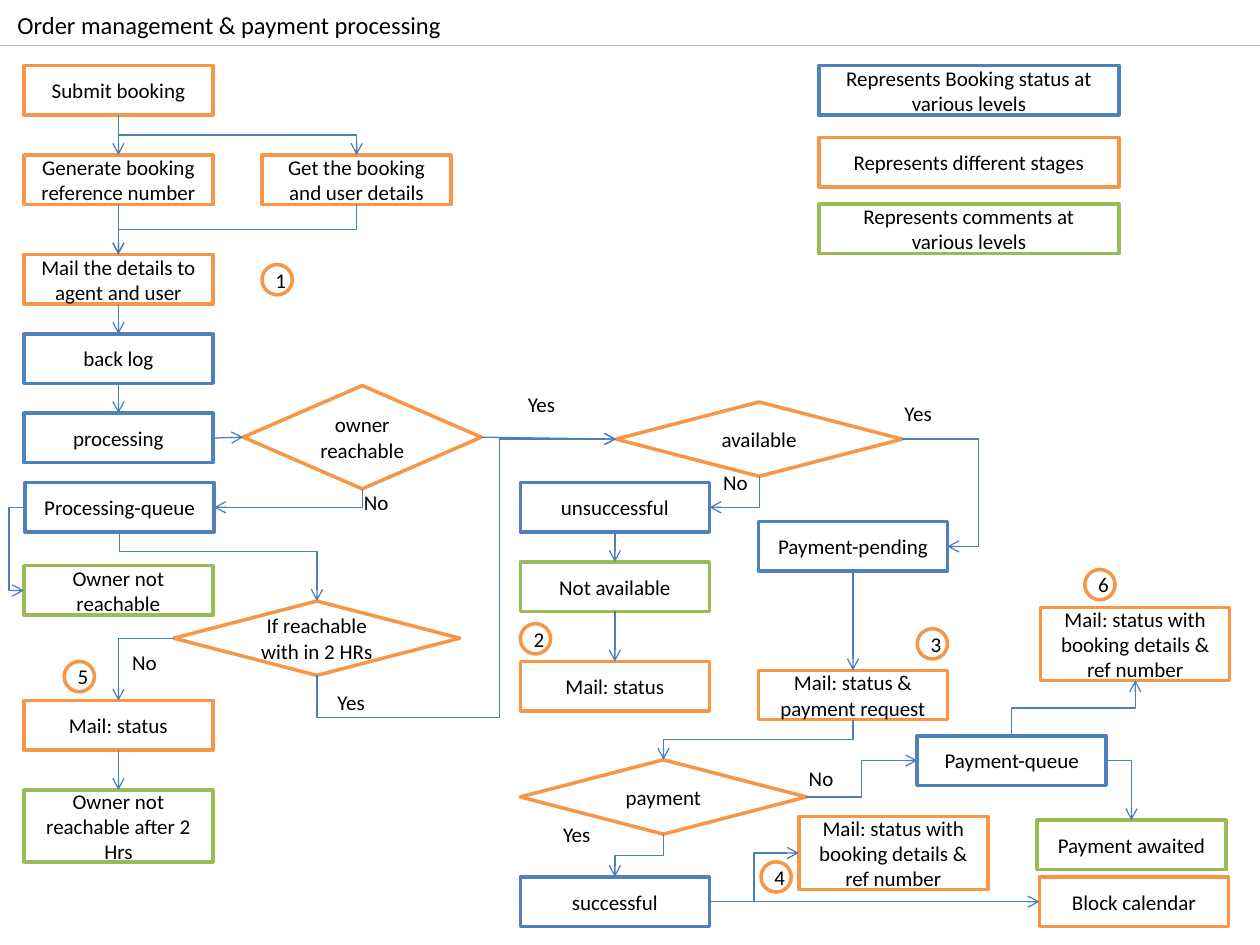
from dataclasses import dataclass

from lxml import etree
from pptx import Presentation, util as u
from pptx.dml import color
from pptx.enum import shapes, text
from pptx.oxml import ns

# The page is a grid of 100 columns by 75 rows
PAGE_WIDTH, PAGE_HEIGHT = u.Inches(10), u.Inches(7.5)
COLUMNS, ROWS = 100, 75
TOP, LEFT, BOTTOM, RIGHT = range(4)


@dataclass(frozen=True)
class Theme:
    stage: str = "F79646"
    status: str = "4F81BD"
    comment: str = "9BBB59"
    arrow: str = "4B7EBC"
    rule: str = "BFBFBF"
    paper: str = "FFFFFF"
    ink: str = "000000"
    font: str = "Calibri"
    title_size: float = 14
    body_size: float = 12
    outline: float = 2
    thin: float = 0.75


THEME = Theme()
RECT = shapes.MSO_SHAPE.RECTANGLE
DIAMOND = shapes.MSO_SHAPE.DIAMOND
CIRCLE = shapes.MSO_SHAPE.OVAL


@dataclass(frozen=True)
class Node:
    label: str
    col: float
    row: float
    outline: str = THEME.stage
    width: float = 15
    height: float = 3.93
    kind: int = RECT

    def site(self, side: int) -> tuple[float, float]:
        """Middle of one side, in grid units."""
        across, down = ((0.5, 0), (0, 0.5), (0.5, 1), (1, 0.5))[side]
        return self.col + across * self.width, self.row + down * self.height


@dataclass(frozen=True)
class Link:
    begin: str
    begin_side: int
    end: str
    end_side: int
    bends: tuple[float, ...] = (0.5,)


def decision(label: str, col: float, row: float, width: float = 22.7, height: float = 5.9) -> Node:
    return Node(label, col, row, width=width, height=height, kind=DIAMOND)


def x(columns: float) -> int:
    return round(PAGE_WIDTH * columns / COLUMNS)


def y(rows: float) -> int:
    return round(PAGE_HEIGHT * rows / ROWS)


def style_text(frame, size: float) -> None:
    for para in frame.paragraphs:
        for span in para.runs:
            span.font.size, span.font.name = u.Pt(size), THEME.font
            span.font.color.rgb = color.RGBColor.from_string(THEME.ink)


def draw_node(page, node: Node):
    box = page.shapes.add_shape(node.kind, x(node.col), y(node.row), x(node.width), y(node.height))
    box.shadow.inherit = False
    box.fill.solid()
    box.fill.fore_color.rgb = color.RGBColor.from_string(THEME.paper)
    box.line.color.rgb = color.RGBColor.from_string(node.outline)
    box.line.width = u.Pt(THEME.outline)
    frame = box.text_frame
    frame.word_wrap = True
    frame.vertical_anchor = text.MSO_ANCHOR.MIDDLE
    frame.text = node.label
    frame.paragraphs[0].alignment = text.PP_ALIGN.CENTER
    style_text(frame, THEME.body_size)
    return box


def draw_label(page, label: str, col: float, row: float, width: float = 5.1,
               height: float = 3, size: float = THEME.body_size) -> None:
    box = page.shapes.add_textbox(x(col), y(row), x(width), y(height))
    box.text_frame.word_wrap = True
    box.text_frame.text = label
    style_text(box.text_frame, size)


def style_line(line, line_color: str, arrow: bool = True) -> None:
    line.line.color.rgb = color.RGBColor.from_string(line_color)
    line.line.width = u.Pt(THEME.thin)
    properties = line._element.spPr
    if arrow:
        etree.SubElement(properties.find(ns.qn("a:ln")), ns.qn("a:tailEnd"), type="arrow")
    etree.SubElement(properties, ns.qn("a:effectLst"))


def draw_straight(page, boxes: dict, begin: str, begin_side: int, end: str, end_side: int) -> None:
    line = page.shapes.add_connector(shapes.MSO_CONNECTOR.STRAIGHT, 0, 0, 0, 0)
    line.begin_connect(boxes[begin], begin_side)
    line.end_connect(boxes[end], end_side)
    style_line(line, THEME.arrow)


def draw_elbow(page, link: Link) -> None:
    """Turn and flip a bent connector so that it leaves its first side squarely."""
    x1, y1 = NODES[link.begin].site(link.begin_side)
    x2, y2 = NODES[link.end].site(link.end_side)
    dx, dy = x2 - x1, y2 - y1
    if link.begin_side in (TOP, BOTTOM):
        turn = 3 if dx > 0 and dy > 0 else 1
    else:
        turn = 2 if dx < 0 else 0
    along, across = ((dx, dy), (dy, -dx), (-dx, -dy), (-dy, dx))[turn]
    width, height = abs(along), abs(across)
    left, top = (x1 + x2 - width) / 2, (y1 + y2 - height) / 2
    line = page.shapes.add_connector(shapes.MSO_CONNECTOR.ELBOW, x(left), y(top),
                                     x(left + width), y(top + height))
    frame = line._element.spPr.find(ns.qn("a:xfrm"))
    for name, value, needed in (("rot", turn * 90 * 60000, turn),
                                ("flipH", 1, along < 0), ("flipV", 1, across < 0)):
        if needed:
            frame.set(name, str(value))
    geometry = line._element.spPr.find(ns.qn("a:prstGeom"))
    geometry.set("prst", f"bentConnector{2 + len(link.bends)}")
    for number, share in enumerate(link.bends, 1):
        etree.SubElement(geometry.find(ns.qn("a:avLst")), ns.qn("a:gd"),
                         name=f"adj{number}", fmla=f"val {round(share * 100000)}")
    style_line(line, THEME.arrow)


DETAILS = "Mail: status with booking details & ref number"
NODES = {
    # Booking column
    "submit": Node("Submit booking", 1.9, 5.2),
    "reference": Node("Generate booking reference number", 1.9, 12.3),
    "user": Node("Get the booking and user details", 20.8, 12.3),
    "mail": Node("Mail the details to agent and user", 1.9, 20.2),
    "backlog": Node("back log", 1.9, 26.5, THEME.status),
    "processing": Node("processing", 1.9, 32.8, THEME.status),
    "queue": Node("Processing-queue", 2, 38.3, THEME.status),
    "unreached": Node("Owner not reachable", 1.9, 44.9, THEME.comment),
    "mail late": Node("Mail: status", 1.9, 55.6),
    "late": Node("Owner not reachable after 2 Hrs", 1.9, 62.7, THEME.comment, height=5.7),
    # Decisions
    "owner": decision("owner reachable", 19.3, 30.6, 18.9, 8.2),
    "available": decision("available", 48.9, 31.9),
    "two hours": decision("If reachable with in 2 HRs", 13.8, 47.7),
    "payment": decision("payment", 41.3, 60.3),
    # Availability and payment
    "unsuccessful": Node("unsuccessful", 41.3, 38.3, THEME.status),
    "not available": Node("Not available", 41.3, 44.6, THEME.comment),
    "mail refused": Node("Mail: status", 41.3, 52.5),
    "pending": Node("Payment-pending", 60.2, 41.4, THEME.status),
    "request": Node("Mail: status & payment request", 60.2, 53.2),
    "payment queue": Node("Payment-queue", 72.8, 58.4, THEME.status),
    "awaited": Node("Payment awaited", 82.3, 65.1, THEME.comment),
    "mail queue": Node(DETAILS, 82.6, 48.2, height=5.8),
    "successful": Node("successful", 41.3, 69.6, THEME.status),
    "mail success": Node(DETAILS, 63.4, 64.8, height=5.8),
    "calendar": Node("Block calendar", 82.5, 69.6),
}
LEGEND = [("Represents Booking status at various levels", 5.2, THEME.status),
          ("Represents different stages", 10.9, THEME.stage),
          ("Represents comments at various levels", 16.2, THEME.comment)]
STEPS = [(20.8, 21), (41.3, 49.5), (72.8, 49.9), (60.4, 68.4), (5.1, 52.5), (86.1, 45.2)]
DOWNWARD = [("submit", "reference"), ("reference", "mail"), ("mail", "backlog"),
            ("backlog", "processing"), ("unsuccessful", "not available"),
            ("not available", "mail refused"), ("pending", "request"), ("mail late", "late")]
RIGHTWARD = [("processing", "owner"), ("owner", "available"), ("successful", "calendar")]
ELBOWS = [
    Link("submit", BOTTOM, "user", TOP),
    Link("user", BOTTOM, "mail", TOP),
    Link("available", BOTTOM, "unsuccessful", RIGHT, ()),
    Link("available", RIGHT, "pending", RIGHT, (1.69,)),
    Link("request", BOTTOM, "payment", TOP),
    Link("payment", BOTTOM, "successful", TOP),
    Link("payment", RIGHT, "payment queue", LEFT),
    Link("payment queue", RIGHT, "awaited", TOP, ()),
    Link("payment queue", TOP, "mail queue", BOTTOM),
    Link("successful", RIGHT, "mail success", LEFT),
    Link("queue", BOTTOM, "two hours", TOP, (0.28,)),
    Link("queue", LEFT, "unreached", LEFT, (13,)),
    Link("owner", BOTTOM, "queue", RIGHT, ()),
    Link("two hours", BOTTOM, "available", LEFT, (-0.18, 0.61)),
    Link("two hours", LEFT, "mail late", TOP, ()),
]
ANSWERS = [("No", 56.4, 36.8), ("Yes", 70.8, 31.3), ("Yes", 43.7, 64.7), ("No", 63.2, 60.3),
           ("Yes", 40.9, 30.6), ("No", 27.9, 38.4), ("Yes", 25.8, 54.2), ("No", 9.5, 51.1)]


def main() -> None:
    deck = Presentation()
    deck.slide_width, deck.slide_height = PAGE_WIDTH, PAGE_HEIGHT
    page = deck.slides.add_slide(deck.slide_layouts[6])

    # Title and rule
    rule = page.shapes.add_connector(shapes.MSO_CONNECTOR.STRAIGHT, 0, y(3.6), x(COLUMNS), y(3.6))
    style_line(rule, THEME.rule, arrow=False)
    draw_label(page, "Order management & payment processing", 0.4, 0.3, 84.3, 3.4, THEME.title_size)

    # Flow boxes, legend and numbered steps
    boxes = {name: draw_node(page, node) for name, node in NODES.items()}
    for label, row, outline in LEGEND:
        draw_node(page, Node(label, 65, row, outline, width=23.8))
    for number, (col, row) in enumerate(STEPS, 1):
        draw_node(page, Node(str(number), col, row, width=2.4, height=2.4, kind=CIRCLE))

    # Arrows and answers
    for begin, end in DOWNWARD:
        draw_straight(page, boxes, begin, BOTTOM, end, TOP)
    for begin, end in RIGHTWARD:
        draw_straight(page, boxes, begin, RIGHT, end, LEFT)
    for link in ELBOWS:
        draw_elbow(page, link)
    for answer in ANSWERS:
        draw_label(page, *answer)

    deck.save("out.pptx")


if __name__ == "__main__":
    main()
